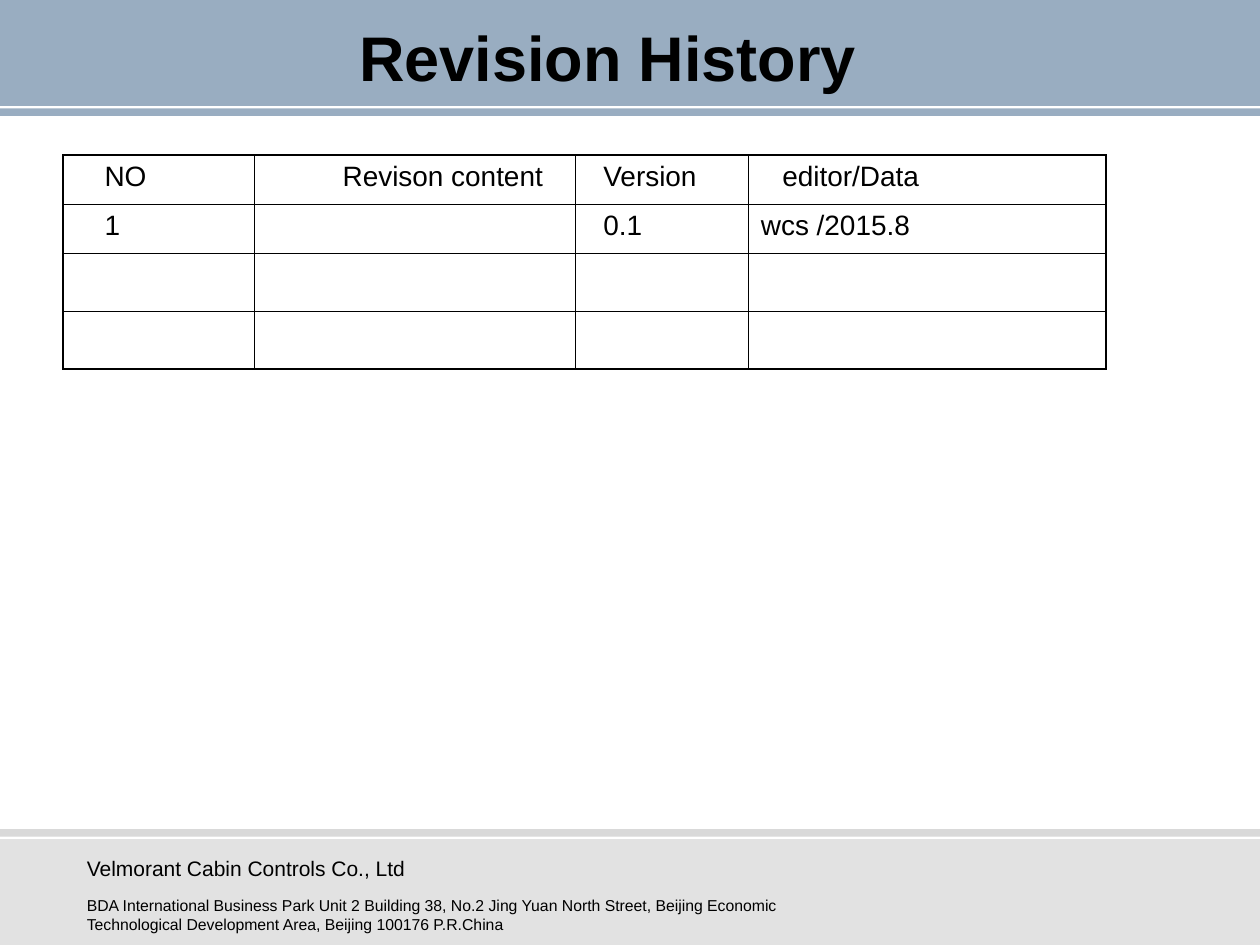
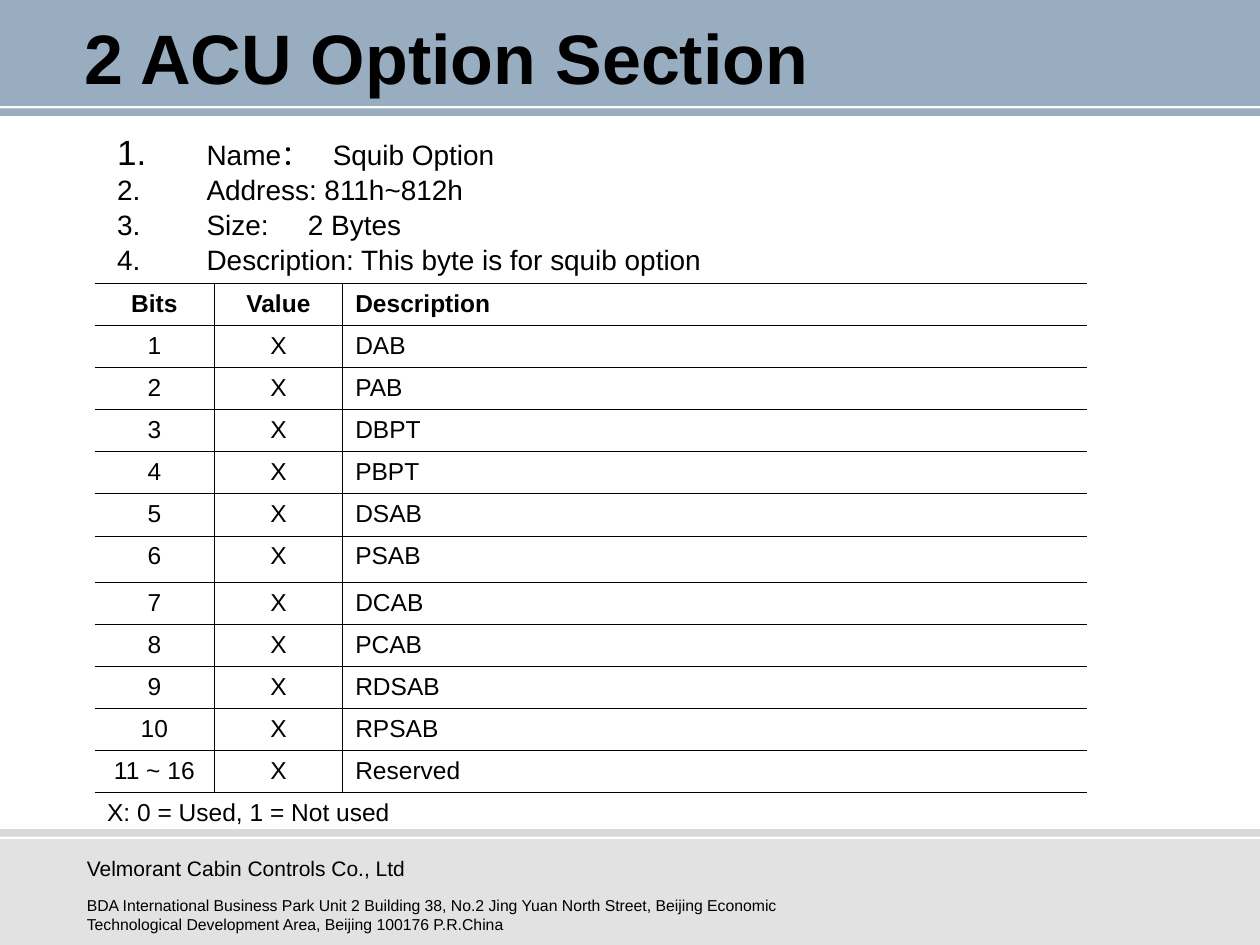
from lxml import etree
from pptx import Presentation
from pptx.dml.color import RGBColor
from pptx.enum import shapes, text
from pptx.oxml import ns
from pptx.util import Inches, Pt

FONT = "Arial"
BLACK = RGBColor(0, 0, 0)
NAVY = RGBColor(0x00, 0x33, 0x66)
GREY = RGBColor(0xC0, 0xC0, 0xC0)
THIN, THICK = 0.45, 1.08
PLAIN = "{2D5ABB26-0587-4C30-8999-92F81FD0307C}"
LEFT, CENTER = text.PP_ALIGN.LEFT, text.PP_ALIGN.CENTER

# top, height, colour, opacity in percent
BANDS = [(0, 0.84, NAVY, 40), (6.66, 0.84, GREY, 46),
         (6.58, 0.06, GREY, 60), (0.86, 0.06, NAVY, 40)]
FIRM = "Velmorant Cabin Controls Co., Ltd"
ADDRESS = ("BDA International Business Park Unit 2 Building 38, "
           "No.2 Jing Yuan North Street, Beijing Economic "
           "Technological Development Area, Beijing 100176 P.R.China")

HISTORY = [["NO", "Revison content", "Version", "editor/Data"],
           ["1", "", "0.1", "wcs /2015.8"],
           [""] * 4, [""] * 4]
SQUIBS = ["DAB", "PAB", "DBPT", "PBPT", "DSAB", "PSAB",
          "DCAB", "PCAB", "RDSAB", "RPSAB"]
# label, extra gap after it in points, value
FACTS = [("Name：", 10, "Squib Option"),
         ("Address:", 0, "811h~812h"),
         ("Size:", 18, "2 Bytes"),
         ("Description:", 0, "This byte is for squib option")]


def place(shape, box):
    shape.left, shape.top, shape.width, shape.height = map(Inches, box)


def style(para, size, bold=False, align=LEFT):
    para.alignment = align
    font = para.font
    font.name, font.size, font.bold = FONT, Pt(size), bold
    font.color.rgb = BLACK


def add_band(slide, box, color, alpha):
    band = slide.shapes.add_shape(shapes.MSO_SHAPE.RECTANGLE, *map(Inches, box))
    band.shadow.inherit = False
    band.fill.solid()
    band.fill.fore_color.rgb = color
    band.line.fill.background()
    tint = band.element.spPr.find(".//" + ns.qn("a:srgbClr"))
    etree.SubElement(tint, ns.qn("a:alpha"), val=str(alpha * 1000))
    return band


def add_label(slide, box, words, size):
    label = slide.shapes.add_textbox(*map(Inches, box))
    label.text_frame.word_wrap = True
    para = label.text_frame.paragraphs[0]
    para.text = words
    style(para, size)
    return label


def dress_master(prs, slide):
    """Build the bands and address on a slide, then move them to the master."""
    parts = [add_band(slide, (0, top, 10, height), color, alpha)
             for top, height, color, alpha in BANDS]
    parts.append(add_label(slide, (0.59, 7.06, 6.38, 0.44), ADDRESS, 9))
    for part in parts:
        prs.slide_master.shapes.element.append(part.element)


def add_frame(slide, words, size, inset):
    """Fill the title, whose text starts at the given inset, and the footer."""
    title = slide.shapes.title
    place(title, (0.43, 0.13, 8.98, 0.63))
    frame = title.text_frame
    frame.text = words
    frame.auto_size = text.MSO_AUTO_SIZE.NONE
    frame.vertical_anchor = text.MSO_ANCHOR.MIDDLE
    frame.margin_left = Inches(inset)
    style(frame.paragraphs[0], size, bold=True)
    add_label(slide, (0.59, 6.74, 6.38, 0.31), FIRM, 12)


def set_edges(cell, edges):
    """Draw the sides named in edges (side: points) and clear the others."""
    props = cell._tc.get_or_add_tcPr()
    for side in "LRTB":
        width = edges.get(side, 0)
        line = etree.SubElement(props, ns.qn("a:ln" + side), w=str(Pt(width)))
        if width:
            fill = etree.SubElement(line, ns.qn("a:solidFill"))
            etree.SubElement(fill, ns.qn("a:srgbClr"), val=str(BLACK))
        else:
            etree.SubElement(line, ns.qn("a:noFill"))
    cell.fill.background()


def add_grid(slide, left, top, cols, rows):
    shape = slide.shapes.add_table(
        len(rows), len(cols), Inches(left), Inches(top),
        Inches(sum(cols)), Inches(sum(rows)))
    grid = shape.table
    grid.first_row = grid.horz_banding = False
    grid._tbl.tblPr.find(ns.qn("a:tableStyleId")).text = PLAIN
    for col, width in zip(grid.columns, cols):
        col.width = Inches(width)
    for row, height in zip(grid.rows, rows):
        row.height = Inches(height)
    return grid


def fill_cell(cell, words, size, **look):
    para = cell.text_frame.paragraphs[0]
    para.text = words
    style(para, size, **look)


def add_history(slide, left, top):
    grid = add_grid(slide, left, top, [1.52, 2.55, 1.37, 2.84],
                    [0.39, 0.39, 0.46, 0.46])
    insets = [0.33, 0.7, 0.22, 0.1]
    for r, row in enumerate(HISTORY):
        for c, words in enumerate(row):
            cell = grid.cell(r, c)
            set_edges(cell, {"L": THIN if c else THICK,
                             "R": THICK if c == 3 else THIN,
                             "T": THIN if r else THICK,
                             "B": THICK if r == 3 else THIN})
            cell.margin_left = Inches(insets[c])
            fill_cell(cell, words, 16)
    grid.cell(0, 3).margin_left = Inches(0.27)


def add_bits(slide, left, top):
    data = [["Bits", "Value", "Description"]]
    data += [[str(n), "X", name] for n, name in enumerate(SQUIBS, 1)]
    data.append(["11 ~ 16", "X", "Reserved"])
    last = len(data)
    heights = [0.37 if r == 6 else 1 / 3 for r in range(last + 1)]
    grid = add_grid(slide, left, top, [0.95, 1.02, 5.91], heights)
    for r, row in enumerate(data):
        for c, words in enumerate(row):
            edges = {"T": THIN, "B": THIN}
            if c > 0:
                edges["L"] = THIN
            if c < 2:
                edges["R"] = THIN
            cell = grid.cell(r, c)
            set_edges(cell, edges)
            fill_cell(cell, words, 14, bold=r == 0,
                      align=LEFT if c == 2 else CENTER)
    for c in range(3):
        set_edges(grid.cell(last, c), {"T": THIN})
    note = grid.cell(last, 0)
    note.merge(grid.cell(last, 2))
    fill_cell(note, "X: 0 = Used, 1 = Not used", 14)


def number(para, scale):
    """Give the paragraph an automatic number, scaled in percent."""
    props = para._p.get_or_add_pPr()
    props.set("marL", str(Inches(0.71)))
    props.set("indent", str(-Inches(0.71)))
    etree.SubElement(props, ns.qn("a:buSzPct"), val=str(scale * 1000))
    etree.SubElement(props, ns.qn("a:buFont"), typeface=FONT)
    etree.SubElement(props, ns.qn("a:buAutoNum"), type="arabicPeriod")


def add_facts(slide, box):
    body = slide.placeholders[1]
    place(body, box)
    frame = body.text_frame
    frame.auto_size = text.MSO_AUTO_SIZE.NONE
    for i, (label, gap, value) in enumerate(FACTS):
        para = frame.add_paragraph() if i else frame.paragraphs[0]
        para.line_spacing = 0.8
        para.space_before = Pt(4.75 if i else 0)
        number(para, 100 if i else 125)
        for words in (label, " ", value):
            run = para.add_run()
            run.text = words
            if words == " " and gap:
                run._r.get_or_add_rPr().set("spc", str(gap * 100))
        style(para, 16)


def main():
    prs = Presentation()
    prs.slide_width, prs.slide_height = Inches(10), Inches(7.5)

    log = prs.slides.add_slide(prs.slide_layouts[5])
    dress_master(prs, log)
    add_frame(log, "Revision History", 36, 2.42)
    add_history(log, 0.5, 1.23)

    option = prs.slides.add_slide(prs.slide_layouts[1])
    add_frame(option, "2 ACU Option Section", 40, 0.24)
    add_facts(option, (0.83, 1.09, 8.44, 1.02))
    add_bits(option, 0.75, 2.25)

    prs.save("out.pptx")


if __name__ == "__main__":
    main()
